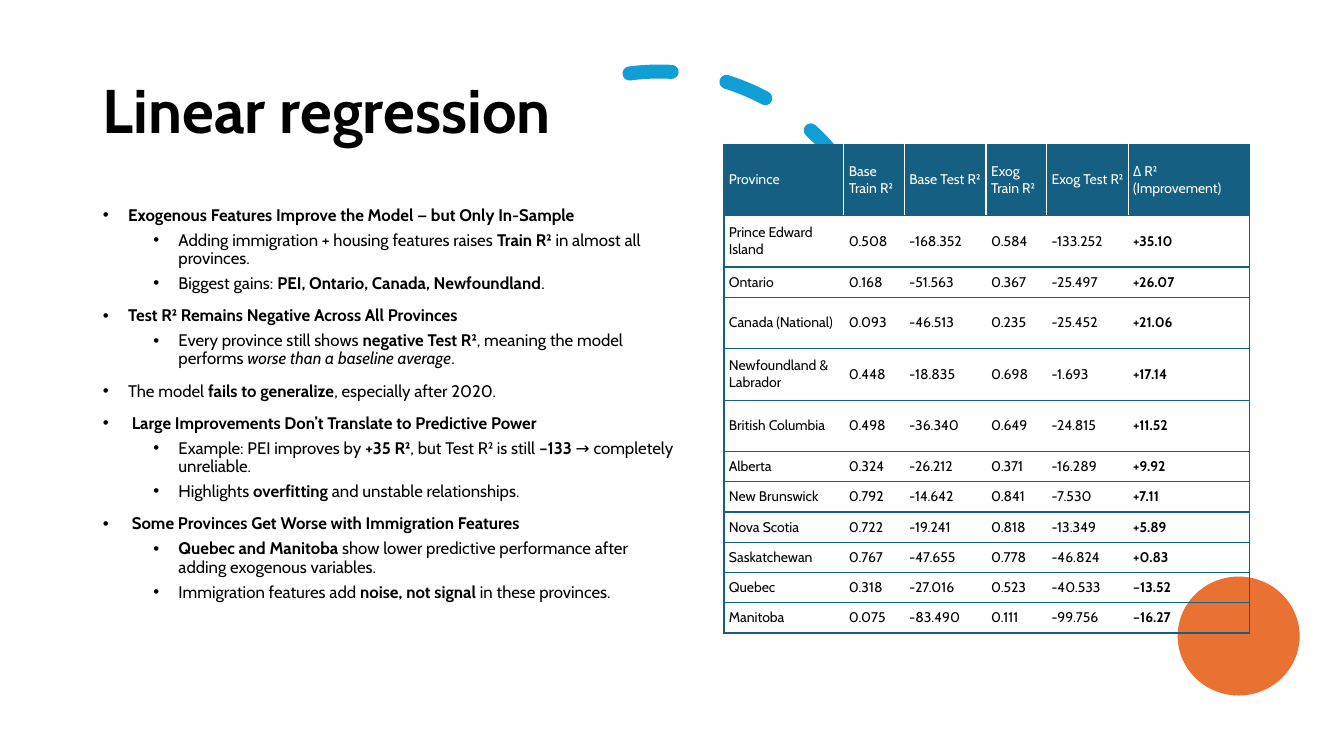
from pptx import Presentation
from pptx import util as u
from pptx.dml.color import RGBColor
from pptx.enum import dml, shapes, text
from pptx.oxml.ns import qn
from lxml import etree

BLACK = RGBColor(0x00, 0x00, 0x00)
WHITE = RGBColor(0xFF, 0xFF, 0xFF)
TEAL = RGBColor(0x15, 0x60, 0x82)
BLUE = RGBColor(0x0F, 0x9E, 0xD5)
ORANGE = RGBColor(0xE9, 0x71, 0x32)
FONT = "Cabin"

POINTS = [
    (0, "*Exogenous Features Improve the Model — but Only In-Sample*"),
    (1, "Adding immigration + housing features raises *Train R²* in almost all provinces."),
    (1, "Biggest gains: *PEI, Ontario, Canada, Newfoundland*."),
    (0, "*Test R² Remains Negative Across All Provinces*"),
    (1, "Every province still shows *negative Test R²*, meaning the model performs "
        "_worse than a baseline average_."),
    (0, "The model *fails to generalize*, especially after 2020."),
    (0, "* Large Improvements Don’t Translate to Predictive Power*"),
    (1, "Example: PEI improves by *+35 R²*, but Test R² is still *–133* → completely unreliable."),
    (1, "Highlights *overfitting* and unstable relationships."),
    (0, "* Some Provinces Get Worse with Immigration Features*"),
    (1, "*Quebec and Manitoba* show lower predictive performance after adding exogenous variables."),
    (1, "Immigration features add *noise, not signal* in these provinces."),
]

COLUMN_WIDTHS = [1.19, 0.6, 0.81, 0.6, 0.81, 1.2]
HEADER_HEIGHT, TALL_ROW, SHORT_ROW = 0.71, 0.51, 0.3
TALL_PROVINCES = {"Prince Edward Island", "Canada (National)",
                  "Newfoundland & Labrador", "British Columbia"}
SCORES = [
    ("Province", "Base Train R²", "Base Test R²", "Exog Train R²", "Exog Test R²",
     "Δ R² (Improvement)"),
    ("Prince Edward Island", "0.508", "-168.352", "0.584", "-133.252", "+35.10"),
    ("Ontario", "0.168", "-51.563", "0.367", "-25.497", "+26.07"),
    ("Canada (National)", "0.093", "-46.513", "0.235", "-25.452", "+21.06"),
    ("Newfoundland & Labrador", "0.448", "-18.835", "0.698", "-1.693", "+17.14"),
    ("British Columbia", "0.498", "-36.340", "0.649", "-24.815", "+11.52"),
    ("Alberta", "0.324", "-26.212", "0.371", "-16.289", "+9.92"),
    ("New Brunswick", "0.792", "-14.642", "0.841", "-7.530", "+7.11"),
    ("Nova Scotia", "0.722", "-19.241", "0.818", "-13.349", "+5.89"),
    ("Saskatchewan", "0.767", "-47.655", "0.778", "-46.824", "+0.83"),
    ("Quebec", "0.318", "-27.016", "0.523", "-40.533", "–13.52"),
    ("Manitoba", "0.075", "-83.490", "0.111", "-99.756", "–16.27"),
]


def apply(obj, **values):
    for name, value in values.items():
        setattr(obj, name, value)


def box(left, top, width, height):
    return dict(left=u.Inches(left), top=u.Inches(top),
                width=u.Inches(width), height=u.Inches(height))


def add_run(p, words, size, color, bold=False, italic=False):
    r = p.add_run()
    r.text = words
    apply(r.font, name=FONT, size=u.Pt(size), bold=bold, italic=italic)
    r.font.color.rgb = color


def add_marked_runs(p, marked, size, color):
    for i, part in enumerate(marked.split("*")):
        for j, words in enumerate(part.split("_")):
            if words:
                add_run(p, words, size, color, i % 2 == 1, j % 2 == 1)


def add_bullet(p, indent):
    pPr = p._p.get_or_add_pPr()
    pPr.set("marL", str(u.Inches(indent)))
    pPr.set("indent", str(u.Inches(-0.25)))
    etree.SubElement(pPr, qn("a:buFont"), typeface="Arial")
    etree.SubElement(pPr, qn("a:buChar"), char="•")


def fill_title(sp):
    apply(sp, **box(0.92, 0.4, 11.5, 1.45))
    tf = sp.text_frame
    apply(tf, vertical_anchor=text.MSO_ANCHOR.MIDDLE, auto_size=text.MSO_AUTO_SIZE.NONE)
    p = tf.paragraphs[0]
    apply(p, alignment=text.PP_ALIGN.LEFT, line_spacing=0.9)
    add_run(p, "Linear regression", 44, BLACK, bold=True)


def fill_body(sp):
    apply(sp, **box(0.92, 2, 5.9, 4.76))
    tf = sp.text_frame
    apply(tf, auto_size=text.MSO_AUTO_SIZE.NONE, vertical_anchor=text.MSO_ANCHOR.TOP)
    for i, (level, marked) in enumerate(POINTS):
        p = tf.add_paragraph() if i else tf.paragraphs[0]
        apply(p, level=level, line_spacing=0.9, space_before=u.Pt(5 if level else 10))
        add_bullet(p, 0.75 if level else 0.25)
        add_marked_runs(p, marked, 12, BLACK)


def add_dashed_arc(s):
    sp = s.shapes.add_shape(shapes.MSO_SHAPE.ARC, **box(4.3, 0.71, 4.47, 4.47))
    sp.shadow.inherit = False
    sp.rotation = 233.1
    sp.adjustments[0], sp.adjustments[1] = 162, 200.93
    sp._element.spPr.xfrm.set("flipV", "1")
    sp.fill.background()
    apply(sp.line, width=u.Pt(10), dash_style=dml.MSO_LINE.DASH)
    sp.line.color.rgb = BLUE
    sp._element.spPr.find(qn("a:ln")).set("cap", "rnd")


def add_disc(s):
    sp = s.shapes.add_shape(shapes.MSO_SHAPE.OVAL, **box(11.68, 5.72, 1.21, 1.18))
    sp.shadow.inherit = False
    sp.fill.solid()
    sp.fill.fore_color.rgb = ORANGE
    sp.line.fill.background()


def add_borders(cell, sides):
    tcPr = cell._tc.get_or_add_tcPr()
    for side in sides:
        ln = etree.SubElement(tcPr, qn("a:ln" + side), w=str(u.Pt(1)))
        fill = etree.SubElement(ln, qn("a:solidFill"))
        etree.SubElement(fill, qn("a:srgbClr"), val=str(TEAL))


def format_cell(cell, words, is_header, is_first, is_last):
    apply(cell, vertical_anchor=text.MSO_ANCHOR.MIDDLE,
          margin_left=u.Inches(0.05), margin_right=u.Inches(0.05),
          margin_top=u.Inches(0.03), margin_bottom=u.Inches(0.03))
    add_borders(cell, "L" * is_first + "R" * is_last + "TB")
    if is_header:
        cell.fill.solid()
        cell.fill.fore_color.rgb = TEAL
    else:
        cell.fill.background()
    add_run(cell.text_frame.paragraphs[0], words, 10, WHITE if is_header else BLACK,
            bold=is_last and not is_header)


def add_score_table(s):
    frame = s.shapes.add_table(len(SCORES), len(COLUMN_WIDTHS), **box(7.18, 1.43, 5.21, 4.86))
    table = frame.table
    apply(table, first_row=False, horz_banding=False)
    for column, width in zip(table.columns, COLUMN_WIDTHS):
        column.width = u.Inches(width)
    last = len(COLUMN_WIDTHS) - 1
    for i, values in enumerate(SCORES):
        height = TALL_ROW if values[0] in TALL_PROVINCES else SHORT_ROW
        table.rows[i].height = u.Inches(height if i else HEADER_HEIGHT)
        for j, words in enumerate(values):
            format_cell(table.cell(i, j), words, i == 0, j == 0, j == last)


def main():
    prs = Presentation()
    apply(prs, slide_width=u.Inches(13.33), slide_height=u.Inches(7.5))
    s = prs.slides.add_slide(prs.slide_layouts[1])
    add_dashed_arc(s)
    fill_title(s.shapes.title)
    fill_body(s.placeholders[1])
    add_disc(s)
    add_score_table(s)
    prs.save("out.pptx")


if __name__ == "__main__":
    main()
